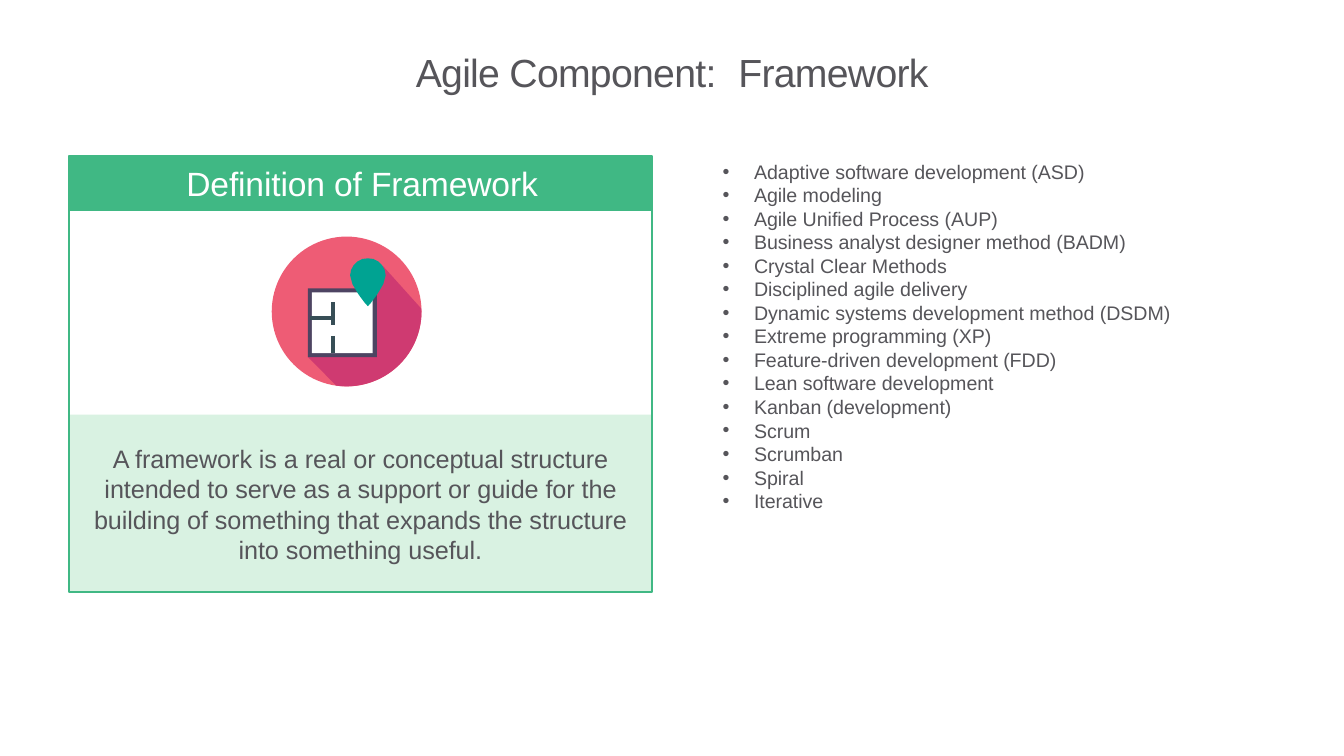
from math import cos, sin, radians
from lxml.etree import SubElement
from pptx import Presentation
from pptx.dml.color import RGBColor
from pptx.enum.shapes import MSO_CONNECTOR, MSO_SHAPE
from pptx.enum.text import MSO_ANCHOR, MSO_AUTO_SIZE, PP_ALIGN
from pptx.oxml.ns import qn
from pptx.util import Pt

GREY = RGBColor(0x56, 0x55, 0x5A)
WHITE = RGBColor(0xFF, 0xFF, 0xFF)
GREEN = RGBColor(0x40, 0xB8, 0x84)
LIGHT_GREEN = RGBColor(0x44, 0xC0, 0x71)
PINK = RGBColor(0xEE, 0x5C, 0x75)
MAGENTA = RGBColor(0xCF, 0x3A, 0x71)
PURPLE = RGBColor(0x4D, 0x44, 0x62)
SLATE = RGBColor(0x37, 0x4E, 0x56)
TEAL = RGBColor(0x00, 0xA3, 0x92)

FRAMEWORKS = [
    "Adaptive software development (ASD)",
    "Agile modeling",
    "Agile Unified Process (AUP)",
    "Business analyst designer method (BADM)",
    "Crystal Clear Methods",
    "Disciplined agile delivery",
    "Dynamic systems development method (DSDM)",
    "Extreme programming (XP)",
    "Feature-driven development (FDD)",
    "Lean software development",
    "Kanban (development)",
    "Scrum",
    "Scrumban",
    "Spiral",
    "Iterative",
]


def paint(shape, fill=None, line=None, width=0):
    shape.shadow.inherit = False
    if fill is None:
        shape.fill.background()
    else:
        shape.fill.solid()
        shape.fill.fore_color.rgb = fill
    if line is None:
        shape.line.fill.background()
    else:
        shape.line.color.rgb = line
        shape.line.width = Pt(width)


def write(shape, text, size, color, align=PP_ALIGN.LEFT, tracking=-10):
    """Fill a shape with text; tracking is in hundredths of a point."""
    frame = shape.text_frame
    frame.text = text
    frame.word_wrap = True
    frame.auto_size = MSO_AUTO_SIZE.NONE
    frame.vertical_anchor = MSO_ANCHOR.TOP
    frame.margin_left = frame.margin_right = frame.margin_bottom = 0
    frame.margin_top = Pt(1)
    frame.paragraphs[0].space_before = Pt(1)
    for paragraph in frame.paragraphs:
        paragraph.alignment = align
        for run in paragraph.runs:
            run.font.name = "Arial"
            run.font.size = Pt(size)
            run.font.color.rgb = color
            run.font._element.set("spc", str(tracking))
    return frame.paragraphs


prs = Presentation()
prs.slide_width, prs.slide_height = Pt(960), Pt(540)
slide = prs.slides.add_slide(prs.slide_layouts[5])
shapes = slide.shapes

# Title
title = shapes.title
title.left, title.top, title.width, title.height = Pt(297), Pt(33.2), Pt(367), Pt(35.2)
heading = write(title, "Agile Component:\tFramework", 28, GREY, tracking=-50)[0]
tabs = SubElement(heading._p.get_or_add_pPr(), qn("a:tabLst"))
SubElement(tabs, qn("a:tab"), pos=str(Pt(230.4)), algn="l")

# List of frameworks
framework_list = shapes.add_textbox(Pt(514.8), Pt(113), Pt(322.6), Pt(254.2))
for item in write(framework_list, "\n".join(FRAMEWORKS), 14, GREY, tracking=-5):
    item.line_spacing = Pt(16.8)
    props = item._p.get_or_add_pPr()
    props.set("marL", str(Pt(23.8)))
    props.set("indent", str(Pt(-22.5)))
    SubElement(props, qn("a:buFont"), typeface="Arial")
    SubElement(props, qn("a:buChar"), char="•")

# Definition card
CARD_LEFT, CARD_TOP, CARD_WIDTH = 49.2, 111.5, 416.6
HEADER_HEIGHT, CARD_HEIGHT, BODY_HEIGHT = 38.6, 311.7, 127
header = shapes.add_shape(MSO_SHAPE.RECTANGLE, Pt(CARD_LEFT), Pt(CARD_TOP),
                          Pt(CARD_WIDTH), Pt(HEADER_HEIGHT))
paint(header, GREEN, GREEN, 0.72)
header_text = shapes.add_textbox(Pt(129.6), Pt(115.2), Pt(258), Pt(31))
write(header_text, "Definition of Framework", 24, WHITE, PP_ALIGN.CENTER)

body = shapes.add_shape(MSO_SHAPE.RECTANGLE, Pt(CARD_LEFT),
                        Pt(CARD_TOP + CARD_HEIGHT - BODY_HEIGHT),
                        Pt(CARD_WIDTH), Pt(BODY_HEIGHT))
paint(body, LIGHT_GREEN)
body_color = body.fill._xPr.find(qn("a:solidFill"))[0]
SubElement(body_color, qn("a:alpha"), val="20000")
definition = shapes.add_textbox(Pt(64.8), Pt(315.4), Pt(385.2), Pt(88.6))
write(definition, "A framework is a real or conceptual structure intended to serve as "
      "a support or guide for the building of something that expands the structure "
      "into something useful.", 18, GREY, PP_ALIGN.CENTER, -5)[0].line_spacing = Pt(21.7)

frame_outline = shapes.add_shape(MSO_SHAPE.RECTANGLE, Pt(CARD_LEFT), Pt(CARD_TOP),
                                 Pt(CARD_WIDTH), Pt(CARD_HEIGHT))
paint(frame_outline, line=GREEN, width=1.56)

# Floor plan icon: disc, long shadow, plan, walls and pin
DISC_X, DISC_Y, RADIUS = 247.6, 222.5, 53.5
disc = shapes.add_shape(MSO_SHAPE.OVAL, Pt(DISC_X - RADIUS), Pt(DISC_Y - RADIUS),
                        Pt(2 * RADIUS), Pt(2 * RADIUS))
paint(disc, PINK)

rim = [(DISC_X + RADIUS * cos(radians(a)), DISC_Y + RADIUS * sin(radians(a)))
       for a in range(98, -6, -4)]
shadow_outline = [(273.6, 190.1), (235.4, 227.5), (241.2, 233.3), (219.9, 255), *rim]
half_pin = [(0, 184.5), (4, 185), (7.5, 186.8), (10.2, 189.5), (12, 192.8), (12.7, 196.7),
            (11, 203), (6.6, 210.4), (2.2, 216.3), (0, 218.7)]
PIN_X = 262.8
pin_outline = ([(PIN_X + dx, y) for dx, y in half_pin]
               + [(PIN_X - dx, y) for dx, y in half_pin[-2:0:-1]])

icon_outlines = []
for outline, color in ((shadow_outline, MAGENTA), (pin_outline, TEAL)):
    points = [(Pt(x), Pt(y)) for x, y in outline]
    builder = shapes.build_freeform(*points[0])
    builder.add_line_segments(points[1:])
    part = builder.convert_to_shape()
    paint(part, color)
    icon_outlines.append(part)
pin = icon_outlines[-1]

for left, top, side, color in ((219.9, 205.9, 49.3, PURPLE), (222.8, 208.8, 43.4, WHITE)):
    plan = shapes.add_shape(MSO_SHAPE.RECTANGLE, Pt(left), Pt(top), Pt(side), Pt(side))
    paint(plan, color)

for x1, y1, x2, y2 in ((221.3, 227.1, 237.9, 227.1), (238, 215.8, 238, 231.8),
                       (238, 239.9, 238, 252.2)):
    wall = shapes.add_connector(MSO_CONNECTOR.STRAIGHT, Pt(x1), Pt(y1), Pt(x2), Pt(y2))
    wall.line.color.rgb = SLATE
    wall.line.width = Pt(3.06)
    SubElement(wall._element.spPr, qn("a:effectLst"))

shapes._spTree.append(pin._element)  # the pin stands in front of the plan

prs.save("out.pptx")
